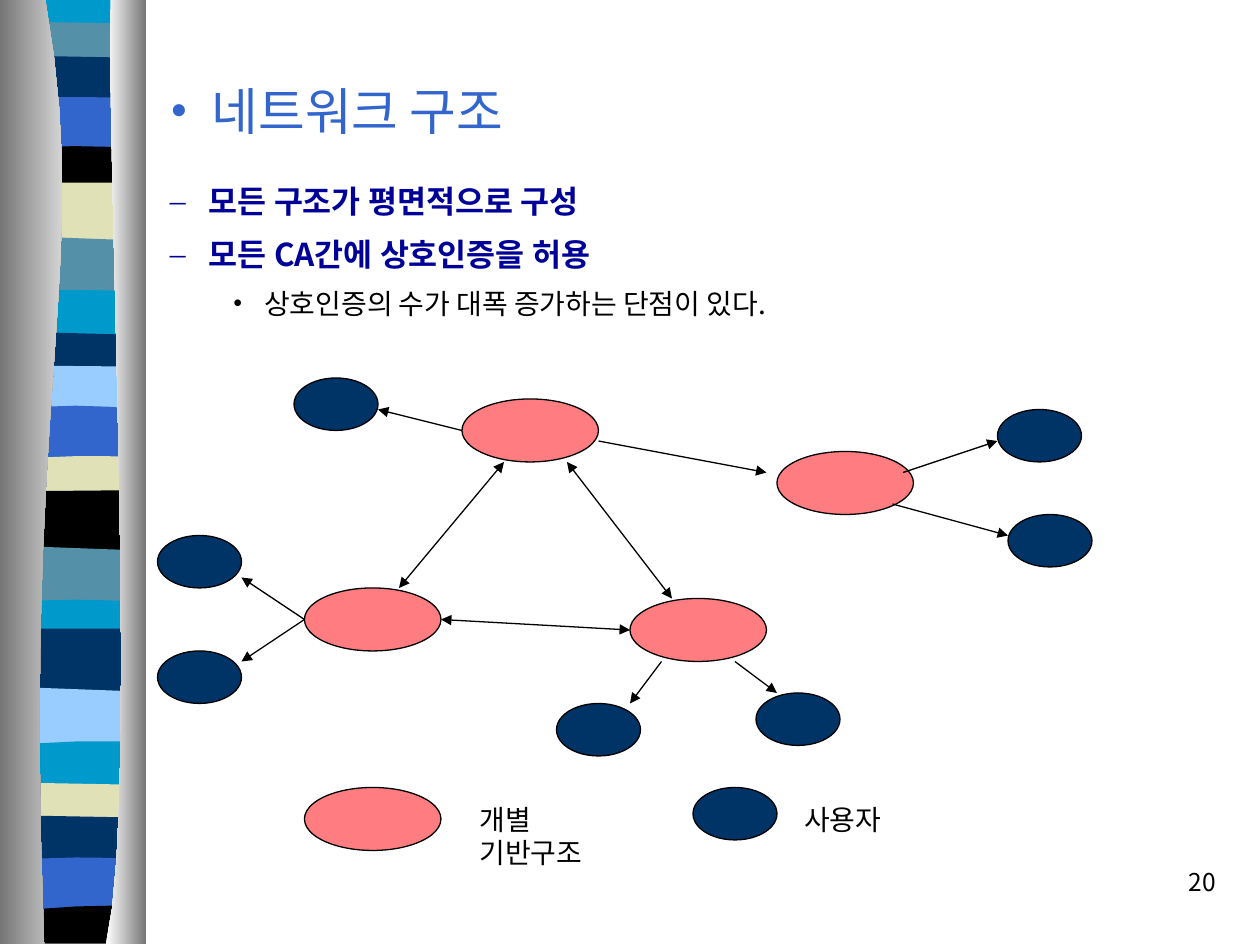
import math

from lxml import etree
from pptx import Presentation
from pptx import util as u
from pptx.dml.color import RGBColor
from pptx.enum import shapes, text
from pptx.oxml.ns import qn

COLS, ROWS = 120, 90  # grid of twelfths of an inch
FONT, SERIF = "Noto Sans CJK KR", "Times New Roman"
HEX = dict(sky="0099CC", teal="5490A8", navy="003366", blue="3366CC", black="000000",
           sand="E1E1B7", pale="99CCFF", pink="FF7C80", ink="000099",
           grey="767676", mist="D4D4D4", white="FFFFFF")


def rgb(name):
    return RGBColor.from_string(HEX[name])


def write(par, words, size=16, color="black", font=FONT, bold=False, align="LEFT",
          before=0, space=1.0, mark=None, left=0, hang=0):
    """Fill a paragraph; mark is its bullet, left and hang its indents in inches."""
    run = par.add_run()
    run.text = words
    run.font.size, run.font.bold, run.font.name = u.Pt(size), bold, font
    run.font.color.rgb = rgb(color)
    etree.SubElement(run._r.get_or_add_rPr(), qn("a:ea"), typeface=FONT)
    par.alignment = getattr(text.PP_ALIGN, align)
    par.space_before, par.line_spacing = u.Pt(before), space
    if mark:
        props = par._p.get_or_add_pPr()
        props.set("marL", str(u.Inches(left)))
        props.set("indent", str(u.Inches(-hang)))
        tint = etree.SubElement(props, qn("a:buClr"))
        etree.SubElement(tint, qn("a:srgbClr"), val=HEX[color])
        etree.SubElement(props, qn("a:buFont"), typeface=SERIF)
        etree.SubElement(props, qn("a:buChar"), char=mark)


def curve(a, b, c, d, steps=14):
    """Points along a cubic curve."""
    pts = []
    for i in range(steps + 1):
        t = i / steps
        s = 1 - t
        pts.append(tuple(s**3 * p + 3 * s * s * t * q + 3 * s * t * t * r + t**3 * e
                         for p, q, r, e in zip(a, b, c, d)))
    return pts


class Board:
    def __init__(self, deck):
        self.unit = deck.slide_width / COLS
        self.slide = deck.slides.add_slide(deck.slide_layouts[5])
        self.items = self.slide.shapes

    def grid(self, *nums):
        return [round(n * self.unit) for n in nums]

    def title(self, x, y, w, h, words, **style):
        box = self.items.title
        box.left, box.top, box.width, box.height = self.grid(x, y, w, h)
        frame = box.text_frame
        frame.auto_size = text.MSO_AUTO_SIZE.NONE
        frame.vertical_anchor = text.MSO_ANCHOR.MIDDLE
        write(frame.paragraphs[0], words, **style)

    def label(self, x, y, w, h, lines, wrap=True):
        frame = self.items.add_textbox(*self.grid(x, y, w, h)).text_frame
        frame.word_wrap = wrap
        if not wrap:
            frame.auto_size = text.MSO_AUTO_SIZE.SHAPE_TO_FIT_TEXT
        for i, (words, style) in enumerate(lines):
            par = frame.add_paragraph() if i else frame.paragraphs[0]
            write(par, words, **style)

    def oval(self, x, y, w, h, color):
        item = self.items.add_shape(shapes.MSO_SHAPE.OVAL, *self.grid(x, y, w, h))
        item.shadow.inherit = False
        item.fill.solid()
        item.fill.fore_color.rgb = rgb(color)
        item.line.color.rgb = rgb("black")
        item.line.width = u.Pt(0.75)

    def arrow(self, x1, y1, x2, y2, both=False):
        link = self.items.add_connector(shapes.MSO_CONNECTOR.STRAIGHT,
                                        *self.grid(x1, y1, x2, y2))
        link.line.color.rgb = rgb("black")
        link.line.width = u.Pt(0.75)
        for end in ("headEnd", "tailEnd") if both else ("tailEnd",):
            etree.SubElement(link.line._get_or_add_ln(), qn("a:" + end), type="triangle")
        etree.SubElement(link._element.spPr, qn("a:effectLst"))

    def patch(self, pts, *colors):
        """Outline given in inches: one colour is solid, two make a gradient."""
        pts = [(u.Inches(x), u.Inches(y)) for x, y in pts]
        pen = self.items.build_freeform(*pts[0], scale=1.0)
        pen.add_line_segments(pts[1:], close=True)
        item = pen.convert_to_shape()
        item.shadow.inherit = False
        item.line.fill.background()
        if len(colors) == 1:
            item.fill.solid()
            item.fill.fore_color.rgb = rgb(colors[0])
        else:
            item.fill.gradient()
            item.fill.gradient_angle = 0
            for stop, name in zip(item.fill.gradient_stops, colors):
                stop.color.rgb = rgb(name)


# Ribbon bands: colour, top edge, fall to the right, rise in the middle
BANDS = [
    ("sky", 0, 0, 0), ("teal", 0.17, 0.02, 0), ("navy", 0.44, 0.02, 0),
    ("blue", 0.78, 0, 0.01), ("black", 1.18, 0, 0.02), ("sand", 1.45, 0, 0),
    ("teal", 1.87, 0.04, 0), ("sky", 2.32, 0, 0.02), ("navy", 2.63, 0.03, 0),
    ("pale", 2.9, 0.01, 0), ("blue", 3.25, 0, 0.03), ("sand", 3.65, -0.02, 0.02),
    ("black", 3.9, -0.01, 0), ("teal", 4.33, 0.04, 0), ("sky", 4.78, 0, 0.02),
    ("navy", 4.99, 0, 0), ("pale", 5.45, 0.04, 0), ("sky", 5.92, -0.03, 0.02),
    ("sand", 6.21, 0.02, 0), ("navy", 6.47, 0.02, 0), ("blue", 6.83, -0.01, 0.02),
    ("black", 7.24, -0.05, 0.02),
]

# Network nodes (the last of each kind belongs to the legend)
HUBS = [(44, 38), (29, 56), (60, 57), (74, 43), (29, 75)]
USERS = [(28, 36), (15, 51), (15, 62), (53, 67), (72, 66), (95, 39), (96, 49), (66, 75)]
PEERS = [(48, 44, 38, 56), (42, 59, 60, 60), (54, 44, 64, 57)]
LINKS = [(57, 42, 73, 45), (44, 41, 36, 39), (29, 59, 23, 55), (29, 59, 23, 63),
         (63, 63, 60, 67), (70, 63, 74, 66), (85, 48, 96, 51), (86, 45, 95, 42)]


def main():
    deck = Presentation()
    deck.slide_width, deck.slide_height = u.Inches(10), u.Inches(7.5)
    board = Board(deck)

    # Ribbon between two pillars
    lows = [band[1] + 0.1 for band in BANDS[1:]] + [7.49]
    for (color, top, fall, rise), low in zip(BANDS, lows):
        steps = 4 if rise else 1
        edge = [(0.06 + 1.08 * t, top + fall * t - rise * math.sin(math.pi * t))
                for t in (i / steps for i in range(steps + 1))]
        board.patch(edge + [(1.14, low), (0.06, low)], color)
    left = curve((0.36, 0), (0.74, 2.16), (0.17, 2.96), (0.35, 7.49))
    board.patch(left + [(0, 7.49), (0, 0)], "grey", "mist")
    right = curve((0.88, 0), (0.84, 1.25), (1.11, 6.46), (0.84, 7.49))
    board.patch(right + [(1.16, 7.49), (1.16, 0)], "white", "grey")

    # Title and points
    board.title(15, 3, 102, 15, " 네트워크 구조", size=29, color="blue",
                mark="•", left=0.24, hang=0.24)
    point = dict(size=18, color="ink", bold=True, before=4.5, space=1.2,
                 mark="–", left=0.81, hang=0.31)
    board.label(9, 16, 102, 64, [
        ("모든 구조가 평면적으로 구성", point),
        ("모든 CA간에 상호인증을 허용", point),
        ("상호인증의 수가 대폭 증가하는 단점이 있다.",
         dict(before=4, space=1.2, mark="•", left=1.25, hang=0.25)),
    ])

    # Network and legend
    for x, y in HUBS:
        board.oval(x, y, 13, 6, "pink")
    for x, y in USERS:
        board.oval(x, y, 8, 5, "navy")
    for ends in LINKS:
        board.arrow(*ends)
    for ends in PEERS:
        board.arrow(*ends, both=True)
    key = dict(font=SERIF)
    board.label(44.5, 75.8, 17.6, 4.4, [("개별 기반구조", key)], wrap=False)
    board.label(75.4, 75.8, 9.7, 4.4, [("사용자", key)], wrap=False)

    # Page number
    board.label(92, 82, 25, 6, [("20", dict(size=14, align="RIGHT"))])
    deck.save("out.pptx")


if __name__ == "__main__":
    main()
